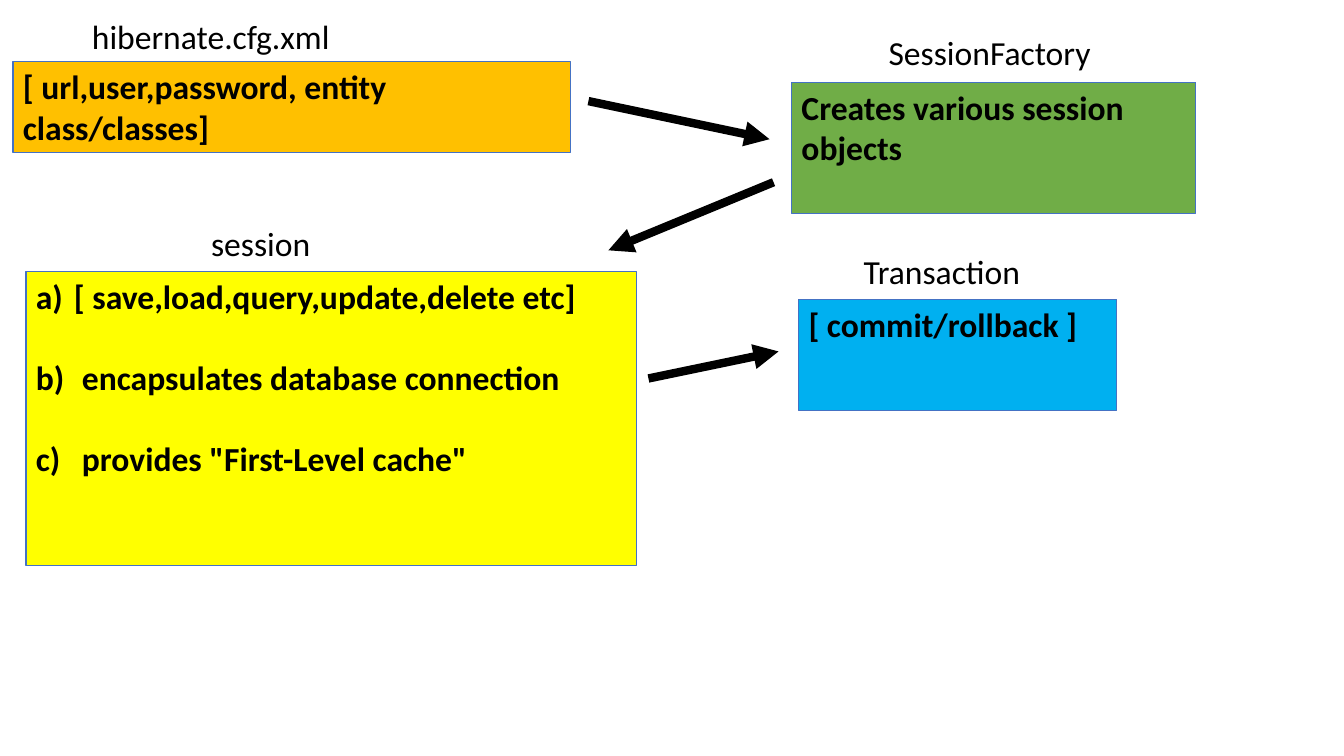
from lxml import etree
from pptx import Presentation, util as u
from pptx.dml.color import RGBColor
from pptx.enum import shapes, text
from pptx.oxml.ns import qn

SCALE = 914400 / 100.7
BLACK, EDGE = "000000", "4472C4"


def px(*vals):
    """Turn pixels into EMU."""
    return [u.Emu(round(v * SCALE)) for v in vals]


def paint(color, tone):
    """Set a font, fill or line colour from a hex string."""
    color.rgb = RGBColor.from_string(tone)


def write(frame, *lines, bold=False, size=24, tone=BLACK, gap=0):
    """Fill a text frame with left-aligned paragraphs."""
    frame.word_wrap = True
    frame.vertical_anchor = text.MSO_ANCHOR.TOP
    for i, line in enumerate(lines):
        para = frame.add_paragraph() if i else frame.paragraphs[0]
        para.alignment = text.PP_ALIGN.LEFT
        para.space_after = u.Pt(gap if i < len(lines) - 1 else 0)
        run = para.add_run()
        run.text = line
        run.font.name, run.font.size, run.font.bold = "Calibri", u.Pt(size), bold
        paint(run.font.color, tone)


def letter(frame, indents):
    """Number the paragraphs a), b), c) with hanging indents."""
    for para, left in zip(frame.paragraphs, indents):
        props = para._p.get_or_add_pPr()
        indent, = px(left)
        props.set("marL", str(indent))
        props.set("indent", str(-indent))
        etree.SubElement(props, qn("a:buFont"), typeface="Calibri")
        etree.SubElement(props, qn("a:buAutoNum"), type="alphaLcParenR")


def label(slide, words, *area):
    """Add a heading above a box."""
    write(slide.shapes.add_textbox(*px(*area)).text_frame, words)


def box(slide, tone, lines, *area, gap=0):
    """Add a filled box with bold text and return its text frame."""
    rect = slide.shapes.add_shape(shapes.MSO_SHAPE.RECTANGLE, *px(*area))
    rect.shadow.inherit = False
    rect.fill.solid()
    paint(rect.fill.fore_color, tone)
    paint(rect.line.color, EDGE)
    rect.line.width = u.Pt(0.74)
    write(rect.text_frame, *lines, bold=True, gap=gap)
    return rect.text_frame


def arrow(slide, *ends):
    """Add a thick black arrow between two points."""
    link = slide.shapes.add_connector(shapes.MSO_CONNECTOR.STRAIGHT, *px(*ends))
    paint(link.line.color, BLACK)
    link.line.width = u.Pt(6)
    etree.SubElement(link.line._get_or_add_ln(), qn("a:tailEnd"), type="triangle")
    etree.SubElement(link._element.spPr, qn("a:effectLst"))


def main():
    """Build the session flow slide."""
    deck = Presentation()
    deck.slide_width, deck.slide_height = px(1343, 755)
    slide = deck.slides.add_slide(deck.slide_layouts[6])

    box(slide, "FFC000", ["[ url,user,password, entity class/classes]"], 13, 61, 557, 91)
    label(slide, "hibernate.cfg.xml", 82, 11, 317, 50)
    box(slide, "70AD47", ["Creates various session objects"], 791, 82, 404, 131)
    label(slide, "SessionFactory", 878, 27, 279, 50)
    duties = ["[ save,load,query,update,delete etc]",
              "encapsulates database connection",
              'provides "First-Level cache"']
    frame = box(slide, "FFFF00", duties, 26, 271, 610, 294, gap=29)
    letter(frame, [38, 46, 46])
    label(slide, "session", 201, 218, 150, 50)
    box(slide, "00B0F0", ["[ commit/rollback ]"], 798, 299, 318, 111)
    label(slide, "Transaction", 853, 246, 213, 50)

    for ends in [(588, 101, 769, 139), (773, 182, 608, 250), (648, 378, 778, 351)]:
        arrow(slide, *ends)
    deck.save("out.pptx")


main()
